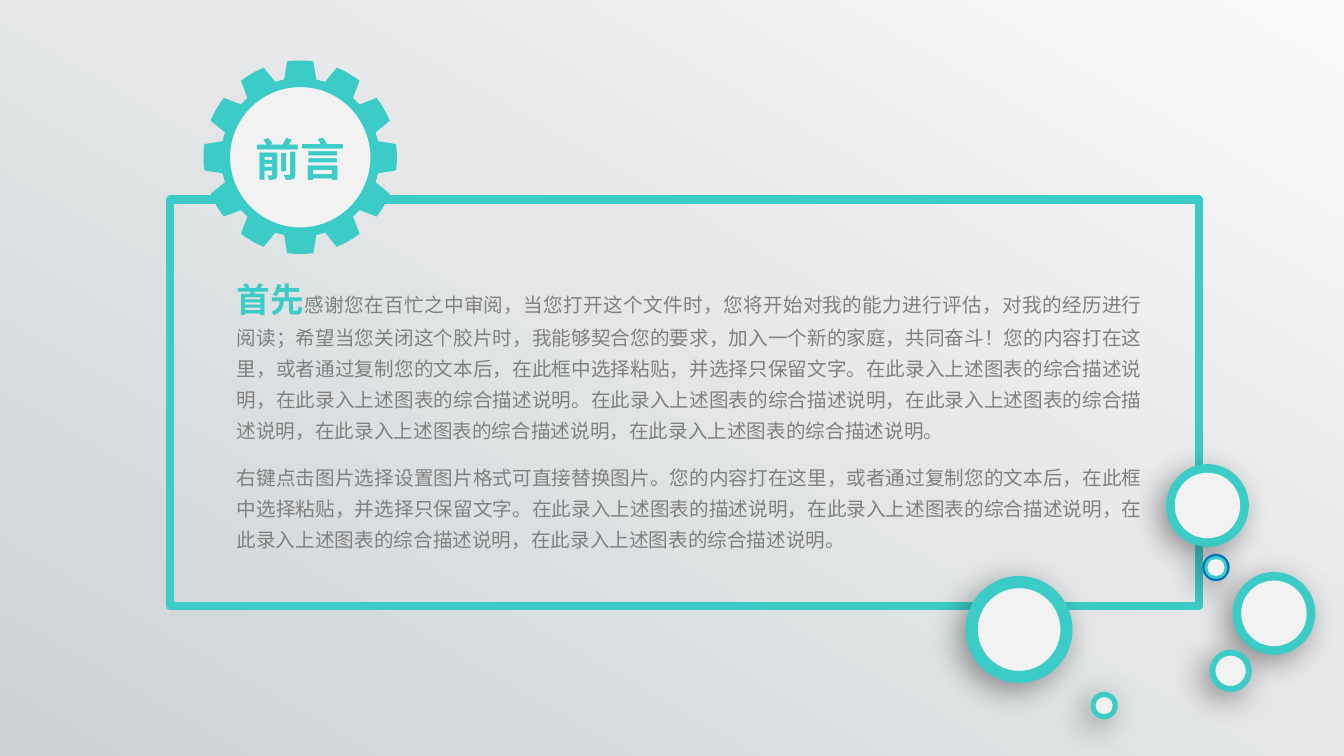
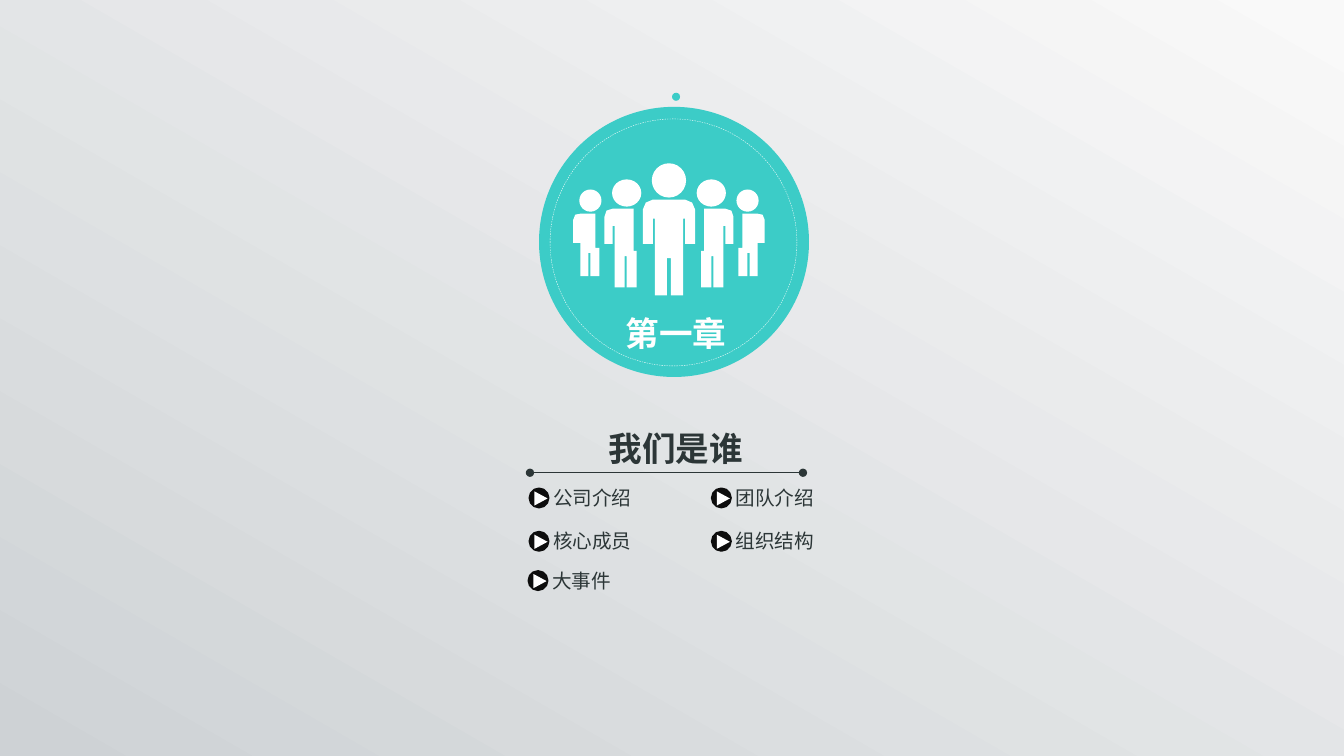
from math import cos, radians, sin

from lxml.etree import SubElement
from pptx import Presentation
from pptx.dml.color import RGBColor
from pptx.enum.dml import MSO_LINE
from pptx.enum.shapes import MSO_CONNECTOR, MSO_SHAPE as Preset
from pptx.enum.text import MSO_ANCHOR as Anchor, PP_ALIGN as Align
from pptx.oxml.ns import qn
from pptx.util import Inches, Pt

FONT = "Noto Sans CJK SC"
TEAL, PALE, BLUE = "3CCCC7", "F2F2F2", "0070C0"
WHITE, BLACK, INK, GREY = "FFFFFF", "0D0D0D", "2C3637", "808080"

OPENING = (
    "感谢您在百忙之中审阅，当您打开这个文件时，您将开始对我的能力进行评估，对我的经历进行阅读；"
    "希望当您关闭这个胶片时，我能够契合您的要求，加入一个新的家庭，共同奋斗！"
    "您的内容打在这里，或者通过复制您的文本后，在此框中选择粘贴，并选择只保留文字。"
    "在此录入上述图表的综合描述说明，在此录入上述图表的综合描述说明。"
    "在此录入上述图表的综合描述说明，在此录入上述图表的综合描述说明，"
    "在此录入上述图表的综合描述说明，在此录入上述图表的综合描述说明。"
)
CLOSING = (
    "右键点击图片选择设置图片格式可直接替换图片。"
    "您的内容打在这里，或者通过复制您的文本后，在此框中选择粘贴，并选择只保留文字。"
    "在此录入上述图表的描述说明，在此录入上述图表的综合描述说明，"
    "在此录入上述图表的综合描述说明，在此录入上述图表的综合描述说明。"
)

# left, top, size, rim width, rim colour, outline of the inner disc
BUBBLES = [
    (12.25, 5.69, 0.79, 0.07, TEAL, None),
    (12.02, 6.46, 0.39, 0.03, TEAL, TEAL),
    (9.6, 5.73, 1.03, 0.09, TEAL, TEAL),
    (10.84, 6.88, 0.24, 0.02, TEAL, TEAL),
    (11.59, 4.62, 0.79, 0.07, TEAL, None),
    (11.95, 5.51, 0.24, 0.02, BLUE, TEAL),
]
TOPICS = [
    ("公司介绍", 5.26, 4.82),
    ("团队介绍", 7.07, 4.82),
    ("核心成员", 5.26, 5.25),
    ("组织结构", 7.07, 5.25),
    ("大事件", 5.25, 5.64),
]

# Body outlines: distance from the crowd's axis, distance below its top
FRONT_HALF = [(0.02, 0.94), (0.02, 1.31), (0.14, 1.31), (0.14, 0.55), (0.16, 0.55),
              (0.16, 0.8), (0.26, 0.8), (0.26, 0.46), (0.23, 0.39), (0.16, 0.36)]
FRONT = FRONT_HALF + [(-x, y) for x, y in reversed(FRONT_HALF)]
SECOND = [(0.32, 0.87), (0.32, 1.23), (0.42, 1.23), (0.42, 0.92), (0.44, 0.92),
          (0.44, 1.23), (0.54, 1.23), (0.54, 0.62), (0.56, 0.62), (0.56, 0.8),
          (0.64, 0.8), (0.64, 0.53), (0.62, 0.47), (0.56, 0.45), (0.35, 0.45),
          (0.35, 0.87)]
THIRD = [(0.69, 0.84), (0.69, 1.12), (0.78, 1.12), (0.78, 0.89), (0.8, 0.89),
         (0.8, 1.12), (0.88, 1.12), (0.88, 0.79), (0.95, 0.79), (0.95, 0.56),
         (0.93, 0.51), (0.88, 0.5), (0.73, 0.5), (0.73, 0.84)]
# outline, head centre, head top, head width, head height, sides of the axis
FIGURES = [
    (FRONT, 0, 0, 0.34, 0.34, (1,)),
    (SECOND, 0.42, 0.16, 0.29, 0.27, (-1, 1)),
    (THIRD, 0.78, 0.26, 0.22, 0.22, (-1, 1)),
]


def rgb(value):
    return RGBColor.from_string(value)


def paint(shape, fill, line=None, width=2):
    shape.shadow.inherit = False
    if fill:
        shape.fill.solid()
        shape.fill.fore_color.rgb = rgb(fill)
    else:
        shape.fill.background()
    if line:
        shape.line.color.rgb = rgb(line)
        shape.line.width = Pt(width)
    else:
        shape.line.fill.background()
    return shape


def add_preset(page, preset, left, top, width, height, fill, line=None, line_width=2):
    shape = page.shapes.add_shape(
        preset, Inches(left), Inches(top), Inches(width), Inches(height))
    return paint(shape, fill, line, line_width)


def add_disc(page, left, top, size, fill, line=None, line_width=2):
    return add_preset(page, Preset.OVAL, left, top, size, size, fill, line, line_width)


def add_outline(page, points, fill):
    corners = [(Inches(x), Inches(y)) for x, y in points]
    builder = page.shapes.build_freeform(*corners[0])
    builder.add_line_segments(corners[1:])
    return paint(builder.convert_to_shape(), fill)


def style(font, size, colour, bold=False):
    font.name, font.size, font.bold = FONT, Pt(size), bold
    font.color.rgb = rgb(colour)
    SubElement(font._rPr, qn("a:ea")).set("typeface", FONT)


def add_box(page, left, top, width, height, inset=(0, 0), anchor=Anchor.TOP):
    frame = page.shapes.add_textbox(
        Inches(left), Inches(top), Inches(width), Inches(height)).text_frame
    frame.word_wrap = True
    frame.vertical_anchor = anchor
    frame.margin_left = frame.margin_right = Inches(inset[0])
    frame.margin_top = frame.margin_bottom = Inches(inset[1])
    return frame


def add_label(page, text, box, size, colour, bold=True, align=Align.CENTER, **box_options):
    para = add_box(page, *box, **box_options).paragraphs[0]
    para.alignment = align
    span = para.add_run()
    span.text = text
    style(span.font, size, colour, bold)


def add_gear(page, left, top, size):
    """A twelve-toothed wheel with a pale face and its title."""
    outer = size / 2
    root, face = outer * 0.82, size * 0.74
    tooth = [(-11.7, root), (-7.8, outer), (-4, outer), (0, outer),
             (4, outer), (7.8, outer), (11.7, root), (15, root)]
    add_outline(page, [
        (left + outer + radius * sin(radians(step * 30 + angle)),
         top + outer - radius * cos(radians(step * 30 + angle)))
        for step in range(12) for angle, radius in tooth], TEAL)
    gap = (size - face) / 2
    add_disc(page, left + gap, top + gap, face, PALE, TEAL)
    add_label(page, "前言", (left + 0.15, top + 0.71, 1.63, 0.54), 32, TEAL)


def add_soft_shadow(shape):
    effects = shape._element.spPr.find(qn("a:effectLst"))
    shadow = SubElement(effects, qn("a:outerShdw"), blurRad=str(Pt(22)),
                        dist=str(Pt(7)), dir=str(135 * 60000), algn="tr", rotWithShape="0")
    colour = SubElement(shadow, qn("a:srgbClr"), val="000000")
    SubElement(colour, qn("a:alpha"), val="40000")


def add_bubble(page, left, top, size, rim, colour, inner_line):
    add_soft_shadow(add_disc(page, left, top, size, colour, colour, 2.25))
    add_disc(page, left + rim, top + rim, size - 2 * rim, PALE, inner_line)


def add_preface_text(page, left, top, width, height):
    frame = add_box(page, left, top, width, height, inset=(0.13, 0.07))
    paragraphs = [[("首先", 24, TEAL, True), (OPENING, 14, GREY, False)],
                  [(CLOSING, 14, GREY, False)]]
    for index, spans in enumerate(paragraphs):
        para = frame.add_paragraph() if index else frame.paragraphs[0]
        para.alignment = Align.JUSTIFY
        para.line_spacing = Pt(22)
        para.space_after = Pt(12)
        for text, size, colour, bold in spans:
            span = para.add_run()
            span.text = text
            style(span.font, size, colour, bold)


def add_crowd(page, left, top, width):
    """Five standing figures, mirrored about the middle of the width."""
    axis = left + width / 2
    for outline, centre, head_top, head_width, head_height, sides in FIGURES:
        for side in sides:
            add_outline(page, [(axis + side * x, top + y) for x, y in outline], WHITE)
            add_preset(page, Preset.OVAL, axis + side * centre - head_width / 2,
                       top + head_top, head_width, head_height, WHITE)


def add_badge(page, left, top, size):
    add_disc(page, left, top, size, TEAL)
    add_disc(page, left + 1.32, top - 0.14, 0.08, TEAL)
    ring = add_disc(page, left + 0.11, top + 0.12, 2.45, None, WHITE, 0.25)
    ring.line.dash_style = MSO_LINE.DASH
    add_crowd(page, left + 0.34, top + 0.56, 1.9)
    add_label(page, "第一章", (left + 0.06, top + 1.98, 2.6, 0.52), 24, WHITE,
              inset=(0.1, 0.05), anchor=Anchor.MIDDLE)


def add_dotted_rule(page, left, top, width):
    """A thin line with a round dot at each end."""
    rule = page.shapes.add_connector(
        MSO_CONNECTOR.STRAIGHT, Inches(left), Inches(top), Inches(left + width), Inches(top))
    rule.line.color.rgb = rgb(INK)
    rule.line.width = Pt(0.75)
    line = rule.line._get_or_add_ln()
    for end in ("a:headEnd", "a:tailEnd"):
        SubElement(line, qn(end), type="oval")
    SubElement(rule._element.spPr, qn("a:effectLst"))


def add_topic(page, text, left, top):
    add_label(page, text, (left + 0.23, top, 1.34, 0.24), 14, INK,
              bold=False, align=Align.LEFT)
    add_disc(page, left, top + 0.03, 0.18, BLACK, BLACK)
    arrow = add_preset(page, Preset.ISOSCELES_TRIANGLE,
                       left + 0.04, top + 0.06, 0.14, 0.13, WHITE)
    arrow.rotation = 90


def set_background(master):
    fill = master.background.fill
    fill.gradient()
    fill.gradient_angle = 60
    for stop, colour in zip(fill.gradient_stops, ("CED2D5", "F9F9F9")):
        stop.color.rgb = rgb(colour)
    fill.gradient_stops[0].position = 0
    fill.gradient_stops[1].position = 1


def build_preface(page):
    add_preset(page, Preset.RECTANGLE, 1.69, 1.98, 10.21, 4.03, None, TEAL, 6)
    add_preface_text(page, 2.22, 2.79, 9.25, 2.77)
    add_gear(page, 2.02, 0.6, 1.92)
    for bubble in BUBBLES:
        add_bubble(page, *bubble)


def build_chapter(page):
    add_badge(page, 5.35, 1.06, 2.68)
    add_label(page, "我们是谁", (5.41, 4.18, 2.6, 0.52), 24, INK,
              inset=(0.1, 0.05), anchor=Anchor.MIDDLE)
    add_dotted_rule(page, 5.26, 4.69, 2.71)
    for topic in TOPICS:
        add_topic(page, *topic)


def main():
    deck = Presentation()
    deck.slide_width, deck.slide_height = Inches(13.34), Inches(7.5)
    set_background(deck.slide_master)
    blank = deck.slide_layouts[6]
    for build in (build_preface, build_chapter):
        build(deck.slides.add_slide(blank))
    deck.save("out.pptx")


if __name__ == "__main__":
    main()
